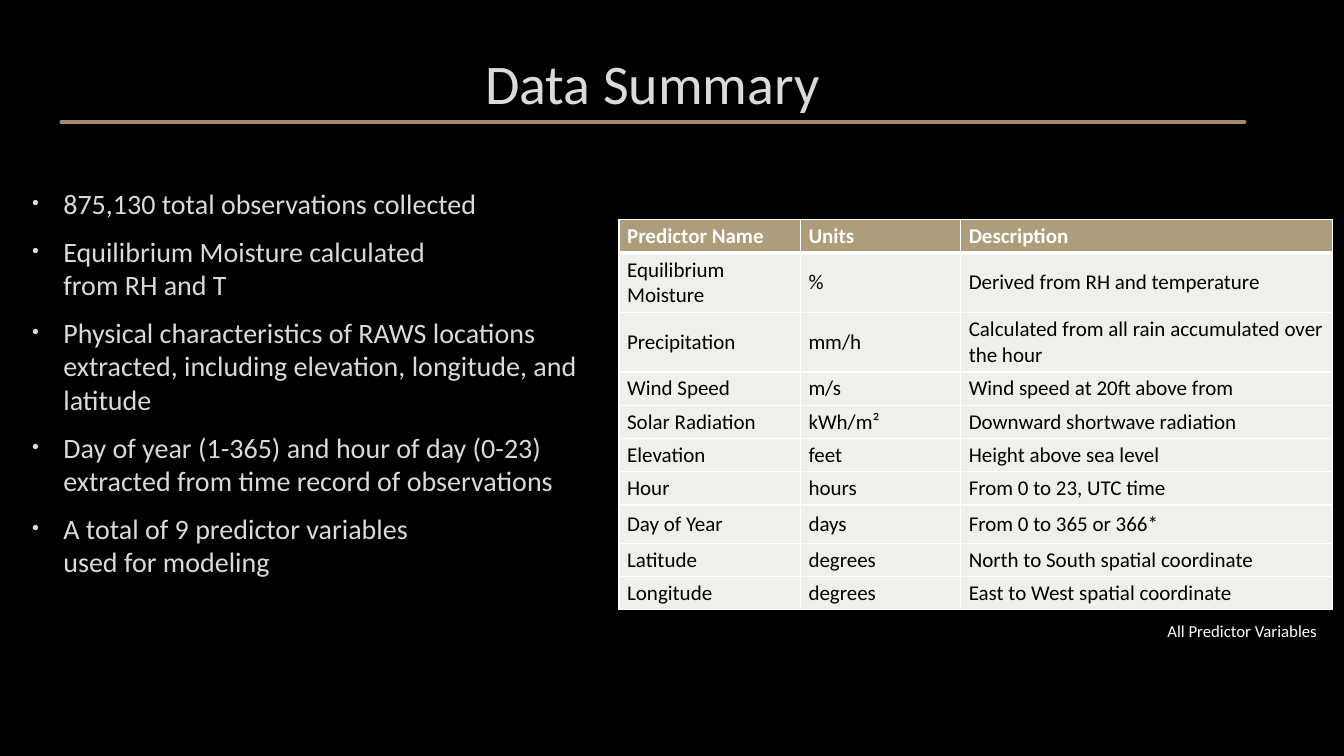
from lxml import etree
from pptx import Presentation
from pptx import util as u
from pptx.dml.color import RGBColor
from pptx.enum import shapes, text
from pptx.oxml import ns

BLACK = RGBColor(0x00, 0x00, 0x00)
WHITE = RGBColor(0xFF, 0xFF, 0xFF)
LIGHT_GRAY = RGBColor(0xDA, 0xDA, 0xDA)
TAN = RGBColor(0xA5, 0x8B, 0x72)
HEADER_TAN = RGBColor(0xAD, 0x9D, 0x7B)
CELL_CREAM = RGBColor(0xF1, 0xEF, 0xEC)
FONT = "Calibri"
WIDTH, HEIGHT = u.Inches(13.33), u.Inches(7.5)

BULLETS = [
    "875,130 total observations collected",
    "Equilibrium Moisture calculated \nfrom RH and T",
    "Physical characteristics of RAWS locations extracted, "
    "including elevation, longitude, and latitude",
    "Day of year (1-365) and hour of day (0-23) "
    "extracted from time record of observations",
    "A total of 9 predictor variables \nused for modeling",
]
PREDICTORS = [
    ("Predictor Name", "Units", "Description"),
    ("Equilibrium Moisture", "%", "Derived from RH and temperature"),
    ("Precipitation", "mm/h", "Calculated from all rain accumulated over the hour"),
    ("Wind Speed", "m/s", "Wind speed at 20ft above from"),
    ("Solar Radiation", "kWh/m²", "Downward shortwave radiation"),
    ("Elevation", "feet", "Height above sea level"),
    ("Hour", "hours", "From 0 to 23, UTC time"),
    ("Day of Year", "days", "From 0 to 365 or 366*"),
    ("Latitude", "degrees", "North to South spatial coordinate"),
    ("Longitude", "degrees", "East to West spatial coordinate"),
]
COLUMN_WEIGHTS = [1.8, 1.59, 3.69]
ROW_WEIGHTS = [0.33, 0.59, 0.59, 0.33, 0.33, 0.33, 0.33, 0.38, 0.33, 0.33]


def share(left, top, width, height):
    """Turn percentages of the slide's size into lengths."""
    return [int(size * percent / 100) for size, percent in
            zip((WIDTH, HEIGHT, WIDTH, HEIGHT), (left, top, width, height))]


def add_element(parent, tag, **attributes):
    element = etree.SubElement(parent, ns.qn(tag))
    for name, value in attributes.items():
        element.set(name, str(value))
    return element


def style_font(paragraph, size, color, bold=False):
    font = paragraph.font
    font.name, font.size, font.bold = FONT, u.Pt(size), bold
    font.color.rgb = color


def add_text(slide, box, lines, size, color):
    frame = slide.shapes.add_textbox(*box).text_frame
    frame.word_wrap = True
    for index, line in enumerate(lines):
        paragraph = frame.paragraphs[0] if index == 0 else frame.add_paragraph()
        paragraph.text = line
        style_font(paragraph, size, color)
    return frame


def add_title(slide, box, rule_box):
    frame = add_text(slide, box, ["Data Summary"], 40, LIGHT_GRAY)
    frame.vertical_anchor = text.MSO_ANCHOR.BOTTOM
    frame.paragraphs[0].alignment = text.PP_ALIGN.CENTER
    # Rule under the title
    left, top, width, height = rule_box
    rule = slide.shapes.add_connector(
        shapes.MSO_CONNECTOR.STRAIGHT, left, top, left + width, top + height)
    rule.line.color.rgb = TAN
    rule.line.width = u.Pt(3)
    rule.line._get_or_add_ln().set("cap", "rnd")
    add_element(rule._element.spPr, "a:effectLst")


def add_bullets(slide, box):
    frame = add_text(slide, box, [""] * len(BULLETS), 20, LIGHT_GRAY)
    for index, (paragraph, line) in enumerate(zip(frame.paragraphs, BULLETS)):
        paragraph.text = line
        properties = paragraph._p.get_or_add_pPr()
        properties.set("marL", str(u.Inches(0.31)))
        properties.set("indent", str(-u.Inches(0.31)))
        # Bullet elements come before the default run properties
        font_properties = properties.find(ns.qn("a:defRPr"))
        color = add_element(properties, "a:buClr")
        add_element(color, "a:srgbClr", val=LIGHT_GRAY)
        add_element(properties, "a:buSzPct", val=70000)
        add_element(properties, "a:buFont", typeface="Arial")
        add_element(properties, "a:buChar", char="•")
        properties.append(font_properties)
        paragraph.space_before = u.Pt(4 if index else 0)
        paragraph.space_after = u.Pt(6)


def set_borders(cell, top, bottom):
    properties = cell._tc.get_or_add_tcPr()
    sides = {"a:lnL": 1, "a:lnR": 1, "a:lnT": top, "a:lnB": bottom}
    for index, (tag, points) in enumerate(sides.items()):
        line = add_element(properties, tag, w=u.Pt(points))
        add_element(add_element(line, "a:solidFill"), "a:srgbClr", val=WHITE)
        properties.insert(index, line)


def add_predictor_table(slide, box):
    table = slide.shapes.add_table(len(PREDICTORS), len(COLUMN_WEIGHTS), *box).table
    for column, weight in zip(table.columns, COLUMN_WEIGHTS):
        column.width = int(box[2] * weight / sum(COLUMN_WEIGHTS))
    for row, weight in zip(table.rows, ROW_WEIGHTS):
        row.height = int(box[3] * weight / sum(ROW_WEIGHTS))
    for row_index, values in enumerate(PREDICTORS):
        header = row_index == 0
        for column_index, value in enumerate(values):
            cell = table.cell(row_index, column_index)
            cell.text = value
            cell.vertical_anchor = text.MSO_ANCHOR.MIDDLE
            cell.margin_left = cell.margin_right = u.Inches(0.08)
            cell.margin_top = cell.margin_bottom = u.Inches(0.04)
            cell.fill.solid()
            cell.fill.fore_color.rgb = HEADER_TAN if header else CELL_CREAM
            style_font(cell.text_frame.paragraphs[0], 15,
                       WHITE if header else BLACK, header)
            set_borders(cell, 3 if row_index == 1 else 1, 3 if header else 1)


def main():
    presentation = Presentation()
    presentation.slide_width, presentation.slide_height = WIDTH, HEIGHT
    slide = presentation.slides.add_slide(presentation.slide_layouts[6])
    slide.background.fill.solid()
    slide.background.fill.fore_color.rgb = BLACK

    add_title(slide, share(1.73, 0.8, 93.62, 15.2), share(4.58, 16.13, 88, 0))
    add_bullets(slide, share(1.65, 24, 45.31, 70.53))
    add_predictor_table(slide, share(46.06, 29.07, 53.1, 51.6))
    # Table caption
    add_text(slide, share(86.12, 81.47, 13.5, 4),
             ["All Predictor Variables"], 12, WHITE)
    presentation.save("out.pptx")


if __name__ == "__main__":
    main()
